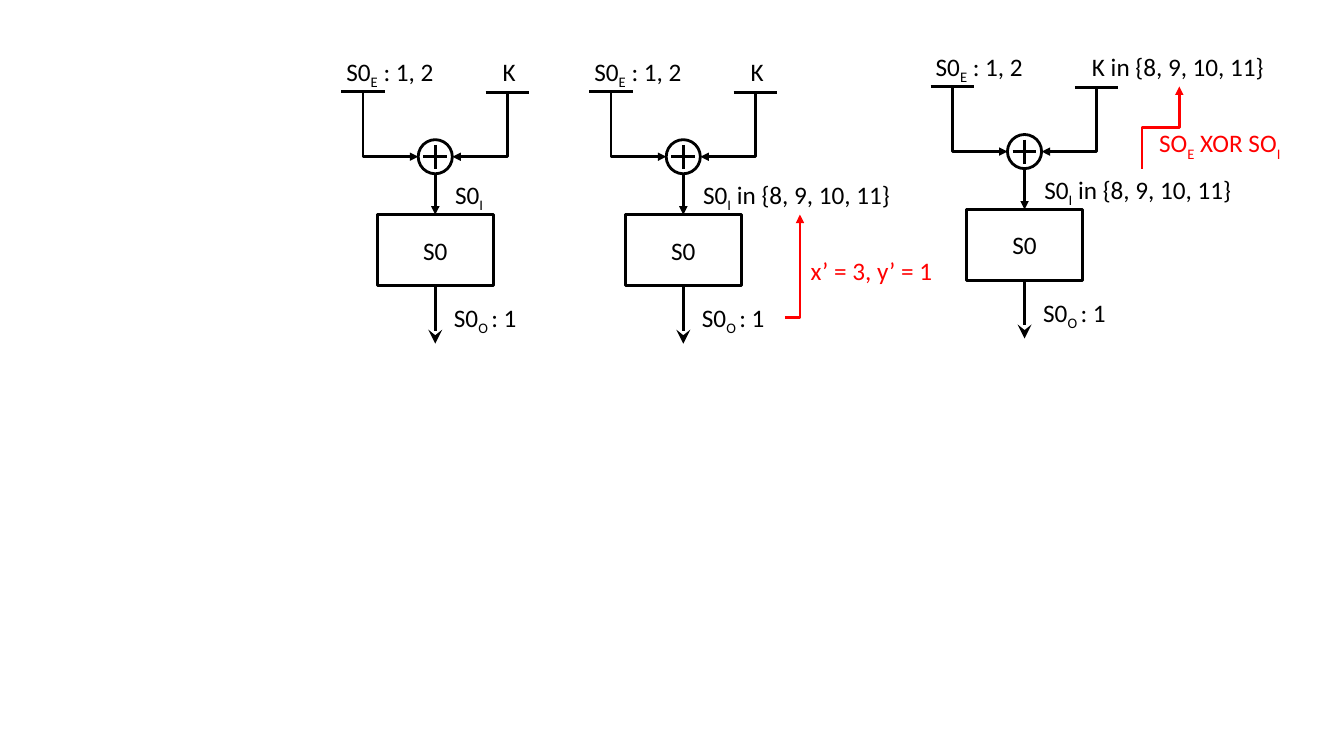
from lxml import etree
from pptx import Presentation
from pptx.dml.color import RGBColor
from pptx.enum.shapes import MSO_CONNECTOR, MSO_SHAPE
from pptx.enum.text import MSO_ANCHOR, MSO_AUTO_SIZE, PP_ALIGN
from pptx.oxml.ns import qn
from pptx.util import Cm, Pt

LINE, ELBOW = MSO_CONNECTOR.STRAIGHT, MSO_CONNECTOR.ELBOW
RECT, OVAL = MSO_SHAPE.RECTANGLE, MSO_SHAPE.OVAL
MIDDLE, CENTER = MSO_ANCHOR.MIDDLE, PP_ALIGN.CENTER
GROW = MSO_AUTO_SIZE.SHAPE_TO_FIT_TEXT
COLORS = {"ink": "000000", "note": "FF0000"}
FONT, SIZE, WEIGHT = "Calibri", Pt(18), Pt(2)
ROW = 1.02


def paint(name):
    return RGBColor.from_string(COLORS[name])


def write(para, text, color="ink"):
    for i, part in enumerate(text.split("|")):
        if not part:
            continue
        run = para.add_run()
        run.text = part
        run.font.name, run.font.size = FONT, SIZE
        run.font.color.rgb = paint(color)
        if i % 2:
            run._r.get_or_add_rPr().set("baseline", "-25000")


def label(shapes, left, top, width, text, color="ink"):
    box = shapes.add_textbox(Cm(left), Cm(top), Cm(width), Cm(ROW))
    frame = box.text_frame
    frame.word_wrap = False
    frame.auto_size = GROW
    write(frame.paragraphs[0], text, color)


def outline(shapes, kind, left, top, width, height):
    shape = shapes.add_shape(kind, Cm(left), Cm(top), Cm(width), Cm(height))
    shape.shadow.inherit = False
    shape.fill.background()
    shape.line.color.rgb = paint("ink")
    shape.line.width = WEIGHT
    return shape


def finish(link, color, head, size):
    link.line.color.rgb = paint(color)
    link.line.width = WEIGHT
    props = link._element.spPr
    if head:
        tail = etree.SubElement(props.find(qn("a:ln")), qn("a:tailEnd"))
        tail.set("type", head)
        tail.set("w", size)
        tail.set("len", size)
    etree.SubElement(props, qn("a:effectLst"))


def line(shapes, x1, y1, x2, y2, head=None, size="med"):
    link = shapes.add_connector(LINE, Cm(x1), Cm(y1), Cm(x2), Cm(y2))
    finish(link, "ink", head, size)


def elbow(shapes, start, end, kind, turn=0, flips=(), color="ink"):
    (x1, y1), (x2, y2) = start, end
    wide, high = abs(x2 - x1) / 2, abs(y2 - y1) / 2
    if turn in (90, 270):
        wide, high = high, wide
    midx, midy = (x1 + x2) / 2, (y1 + y2) / 2
    link = shapes.add_connector(ELBOW, Cm(midx - wide), Cm(midy - high),
                                Cm(midx + wide), Cm(midy + high))
    props = link._element.spPr
    props.find(qn("a:prstGeom")).set("prst", kind)
    frame = props.find(qn("a:xfrm"))
    frame.set("rot", str(turn * 60000))
    for flip in flips:
        frame.set(flip, "1")
    finish(link, color, "triangle", "med")


def panel(slide, left, top, key, key_width, inner, inner_width):
    shapes = slide.shapes.add_group_shape().shapes
    mid, bar, wide = left + 2.37, 1.09, 4.73
    hub, ring, arm = top + 1.64, 0.43, 0.3
    roof, floor = top + 3.1, top + 4.88

    box = outline(shapes, RECT, mid - 1.46, roof, 2.92, floor - roof)
    box.text_frame.vertical_anchor = MIDDLE
    para = box.text_frame.paragraphs[0]
    para.alignment = CENTER
    write(para, "S0")
    line(shapes, mid, floor, mid, top + 6.35, "stealth", "lg")

    outline(shapes, OVAL, mid - ring, hub - ring, 2 * ring, 2 * ring)
    line(shapes, mid - arm, hub, mid + arm, hub)
    line(shapes, mid, hub - arm, mid, hub + arm)
    line(shapes, mid, hub + ring, mid, roof, "triangle")

    sides = [(left, top, -ring, 270, ["flipH"]),
             (left + wide - bar, top + 0.03, ring, 90, [])]
    for x, y, gap, turn, flips in sides:
        line(shapes, x, y, x + bar, y)
        elbow(shapes, (x + bar / 2, y), (mid + gap, hub),
              "bentConnector2", turn, flips)

    label(shapes, left + 3.82, top - ROW, key_width, key)
    label(shapes, left - 0.12, top - ROW, 2.77, "S0|E| : 1, 2")
    label(shapes, left + 2.62, top + 2.08, inner_width, inner)
    label(shapes, left + 2.59, top + 5.18, 2.36, "S0|O |: 1")
    return shapes


def solve(slide, left, top):
    shapes = panel(slide, left, top, "K", 0.84,
                   "S0|I| in {8, 9, 10, 11}", 5.44)
    elbow(shapes, (left + 4.93, top + 5.69), (left + 5.31, top + 3.1),
          "bentConnector2", 0, ["flipV"], "note")
    label(shapes, left + 5.33, top + 3.99, 3.63,
          "x’ = 3, y’ = 1", "note")


def derive(slide, left, top):
    panel(slide, left, top, "K in {8, 9, 10, 11}", 4.9,
          "S0|I| in {8, 9, 10, 11}", 5.44)
    elbow(slide.shapes, (left + 5.33, top + 2.08), (left + 6.27, top),
          "bentConnector3", 90, ["flipH", "flipV"], "note")
    label(slide.shapes, left + 5.51, top + 0.91, 3.63,
          "SO|E| XOR SO|I", "note")


deck = Presentation()
deck.slide_width, deck.slide_height = Cm(33.87), Cm(19.05)
slide = deck.slides.add_slide(deck.slide_layouts[6])
panel(slide, 8.6, 2.31, "K", 0.84, "S0|I", 1.24)
solve(slide, 14.85, 2.31)
derive(slide, 23.45, 2.18)
deck.save("out.pptx")
